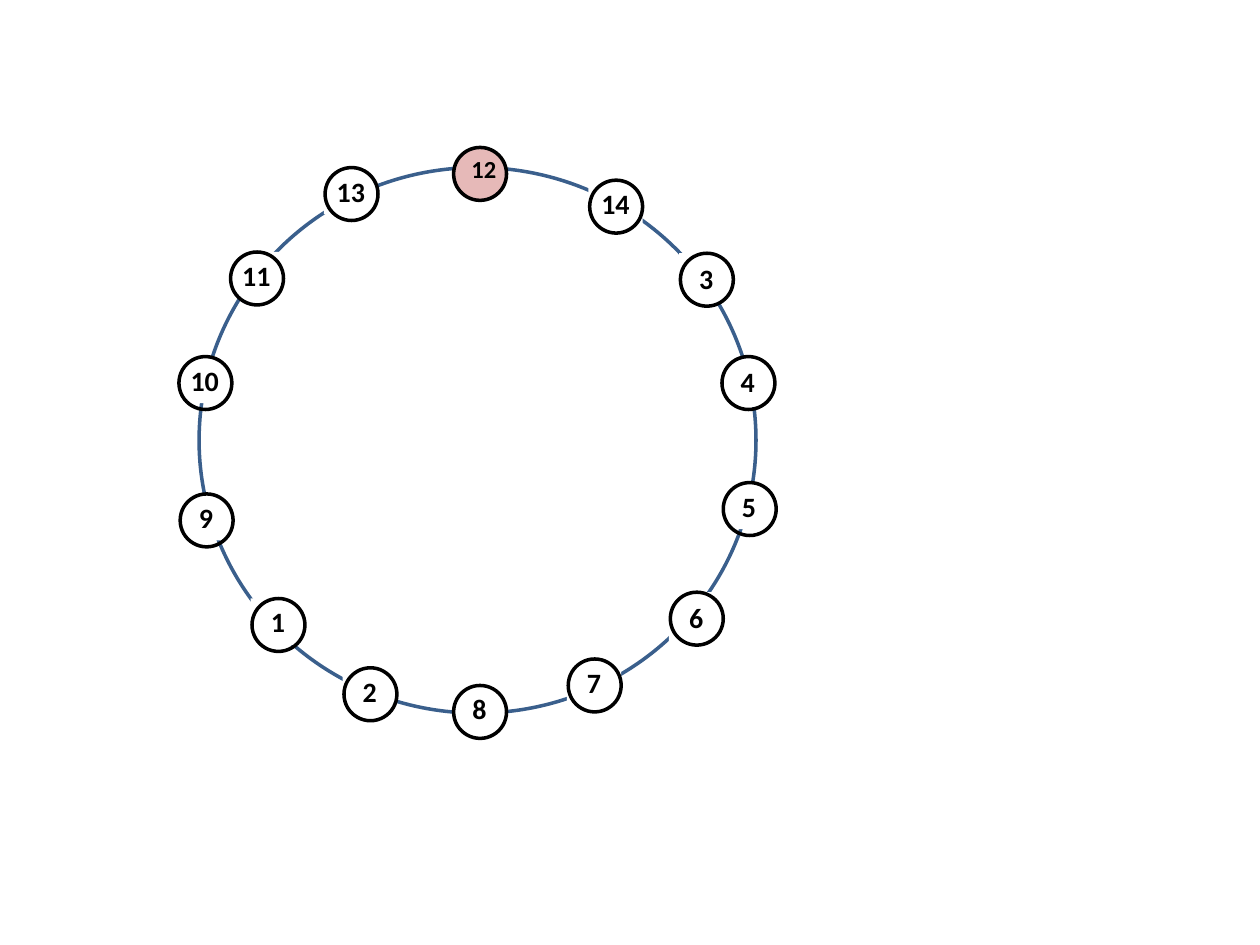
import pptx
import pptx.util
from pptx.dml.color import RGBColor
from pptx.enum.shapes import MSO_SHAPE
from pptx.enum.text import MSO_ANCHOR, PP_ALIGN

Inches, Pt = pptx.util.Inches, pptx.util.Pt

# Content: label, left, top of each node, clockwise after the top one
HIGHLIGHT = ("12", 3.6, 1.17)
NODES = [
    ("3", 5.4, 2.01), ("4", 5.73, 2.83), ("14", 4.68, 1.43), ("5", 5.74, 3.83),
    ("6", 5.32, 4.7), ("7", 4.51, 5.23), ("8", 3.6, 5.44), ("2", 2.73, 5.3),
    ("1", 2, 4.75), ("9", 1.43, 3.92), ("10", 1.42, 2.83), ("11", 1.83, 2),
    ("13", 2.58, 1.33),
]
LOW_LABELS = {"3", "4", "6"}
NODE = 0.42
LABEL_W, LABEL_H, LOW_LABEL_H = 0.43, 0.37, 0.4


def color(hex_string):
    return RGBColor.from_string(hex_string)


def add_shape(shapes, kind, box, fill=None, line=None):
    sp = shapes.add_shape(kind, *(Inches(v) for v in box))
    sp.shadow.inherit = False
    if fill:
        sp.fill.solid()
        sp.fill.fore_color.rgb = color(fill)
    else:
        sp.fill.background()
    if line:
        sp.line.color.rgb = color(line)
        sp.line.width = Pt(2)
    else:
        sp.line.fill.background()
    return sp


def add_circle(shapes, x, y, fill=None):
    add_shape(shapes, MSO_SHAPE.OVAL, (x, y, NODE, NODE), fill, "000000")


def add_label(shapes, text, box, size, fill=None):
    tf = add_shape(shapes, MSO_SHAPE.RECTANGLE, box, fill).text_frame
    tf.word_wrap = False
    tf.vertical_anchor = MSO_ANCHOR.MIDDLE
    p = tf.paragraphs[0]
    p.text = text
    p.alignment = PP_ALIGN.CENTER
    p.font.name = "Calibri"
    p.font.size = Pt(size)
    p.font.bold = True
    p.font.color.rgb = color("000000")


prs = pptx.Presentation()
prs.slide_width, prs.slide_height = Inches(10), Inches(7.5)
s = prs.slides.add_slide(prs.slide_layouts[6])
shapes = s.shapes.add_group_shape().shapes

# Ring
add_shape(shapes, MSO_SHAPE.OVAL, (1.58, 1.33, 4.42, 4.33), line="3A5F8C")

# Highlighted node
text, x, y = HIGHLIGHT
add_circle(shapes, x, y, "E6B9B8")
add_label(shapes, text, (x + 0.03, y, NODE, 0.34), 14)

# Other nodes: the white label hides the ring behind the circle
for text, x, y in NODES:
    h = LOW_LABEL_H if text in LOW_LABELS else LABEL_H
    add_label(shapes, text, (x - 0.01, y, LABEL_W, h), 16, "FFFFFF")
    add_circle(shapes, x, y)

prs.save("out.pptx")
